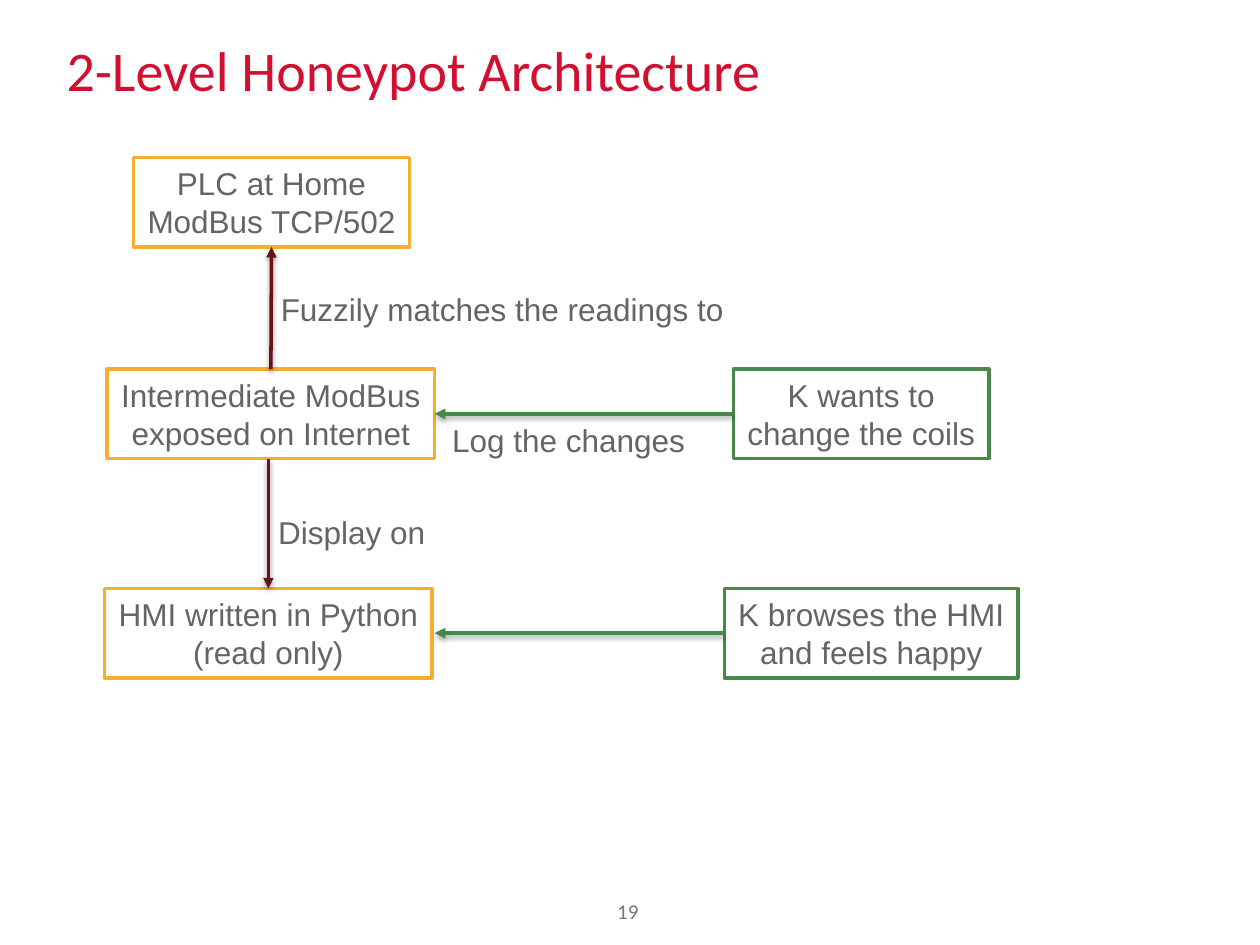
import pptx
import pptx.dml.color
import pptx.enum.shapes
import pptx.enum.text
import pptx.util
from lxml import etree
from pptx.oxml.ns import qn

COLUMNS, ROWS = 100, 75
CELL = pptx.util.Inches(0.1)
RED, GREY, TEXT = "D20F30", "767779", "636466"
AMBER, GREEN, MAROON = "F6AE2F", "48894A", "671317"
TOP, LEFT, BOTTOM, RIGHT = range(4)
CENTER = pptx.enum.text.PP_ALIGN.CENTER
NODE_HEIGHT, LABEL_HEIGHT = 7.1, 4
UPPER_ROW, MIDDLE_ROW, LOWER_ROW = 0, 16.8, 34.2


def color(value):
    return pptx.dml.color.RGBColor.from_string(value)


def cells(*values):
    return [round(value * CELL) for value in values]


def within(box, left, top, width, height):
    return box[0] + left, box[1] + top, width, height


def add_span(para, text, size, font, value):
    span = para.add_run()
    span.text = text
    span.font.size = pptx.util.Pt(size)
    span.font.name = font
    span.font.color.rgb = color(value)


def add_body_lines(frame, paragraphs, alignment):
    frame.word_wrap = False
    frame.auto_size = pptx.enum.text.MSO_AUTO_SIZE.SHAPE_TO_FIT_TEXT
    for index, lines in enumerate(paragraphs):
        para = frame.add_paragraph() if index else frame.paragraphs[0]
        para.alignment = alignment
        for number, line in enumerate(lines.split("\n")):
            if number:
                para.add_line_break()
            add_span(para, line, 18, "Arial", TEXT)


def add_heading(page, box, text, size, value, spacing=1.0):
    frame = page.shapes.add_textbox(*cells(*box)).text_frame
    frame.word_wrap = True
    para = frame.paragraphs[0]
    para.line_spacing = spacing
    add_span(para, text, size, "Calibri", value)


def add_node(page, box, outline, paragraphs):
    node = page.shapes.add_shape(
        pptx.enum.shapes.MSO_SHAPE.RECTANGLE, *cells(*box))
    node.shadow.inherit = False
    node.fill.solid()
    node.fill.fore_color.rgb = color("FFFFFF")
    node.line.color.rgb = color(outline)
    node.line.width = pptx.util.Pt(2)
    add_body_lines(node.text_frame, paragraphs, CENTER)
    return node


def add_label(page, box, text):
    label = page.shapes.add_textbox(*cells(*box))
    add_body_lines(label.text_frame, [text], pptx.enum.text.PP_ALIGN.LEFT)


def add_shadow(properties):
    effects = etree.SubElement(properties, qn("a:effectLst"))
    shadow = etree.SubElement(
        effects, qn("a:outerShdw"), blurRad="40000", dist="20000",
        dir="5400000", rotWithShape="0")
    black = etree.SubElement(shadow, qn("a:srgbClr"), val="000000")
    etree.SubElement(black, qn("a:alpha"), val="38000")


def add_arrow(page, start, finish, value, source=None, target=None):
    arrow = page.shapes.add_connector(
        pptx.enum.shapes.MSO_CONNECTOR.STRAIGHT,
        *cells(*start), *cells(*finish))
    if source:
        arrow.begin_connect(*source)
    if target:
        arrow.end_connect(*target)
    arrow.line.color.rgb = color(value)
    arrow.line.width = pptx.util.Pt(2)
    etree.SubElement(arrow.line._get_or_add_ln(), qn("a:tailEnd"), type="triangle")
    add_shadow(arrow._element.spPr)


def add_architecture(page, box):
    nodes = {}
    for name, left, top, width, outline, paragraphs in [
        ("plc", 2.3, UPPER_ROW, 21.9, AMBER,
         ["PLC at Home", "ModBus TCP/502"]),
        ("hmi", 0, LOWER_ROW, 26, AMBER,
         ["HMI written in Python", "(read only)"]),
        ("modbus", 0.2, MIDDLE_ROW, 26, AMBER,
         ["Intermediate ModBus", "exposed on Internet"]),
        ("changer", 49.9, MIDDLE_ROW, 20.3, GREEN,
         ["K wants to", "change the coils"]),
        ("browser", 49.2, LOWER_ROW, 23.3, GREEN,
         ["K browses the HMI\nand feels happy"]),
    ]:
        place = within(box, left, top, width, NODE_HEIGHT)
        nodes[name] = add_node(page, place, outline, paragraphs)

    below_modbus = (box[0] + 13, box[1] + MIDDLE_ROW + NODE_HEIGHT)
    beside_hmi = (box[0] + 26.2, box[1] + LOWER_ROW + NODE_HEIGHT / 2)
    for start, finish, value, source, target in [
        (box[:2], box[:2], MAROON, (nodes["modbus"], TOP), (nodes["plc"], BOTTOM)),
        (below_modbus, box[:2], MAROON, None, (nodes["hmi"], TOP)),
        (box[:2], box[:2], GREEN, (nodes["changer"], LEFT), (nodes["modbus"], RIGHT)),
        (box[:2], beside_hmi, GREEN, (nodes["browser"], LEFT), None),
    ]:
        add_arrow(page, start, finish, value, source, target)

    for left, top, width, text in [
        (13, 10, 37.5, "Fuzzily matches the readings to"),
        (12.8, 27.7, 13.8, "Display on"),
        (26.6, 20.4, 20.7, "Log the changes"),
    ]:
        add_label(page, within(box, left, top, width, LABEL_HEIGHT), text)


def main():
    deck = pptx.Presentation()
    deck.slide_width, deck.slide_height = cells(COLUMNS, ROWS)
    page = deck.slides.add_slide(deck.slide_layouts[6])
    add_heading(page, (4.3, 2.9, 88.6, 7.8),
                "2-Level Honeypot Architecture", 32, RED, 0.9)
    add_heading(page, (48, 70.8, 4.1, 3), "19", 12, GREY)
    add_architecture(page, (8.3, 12.5, 72.5, 41.3))
    deck.save("out.pptx")


if __name__ == "__main__":
    main()
